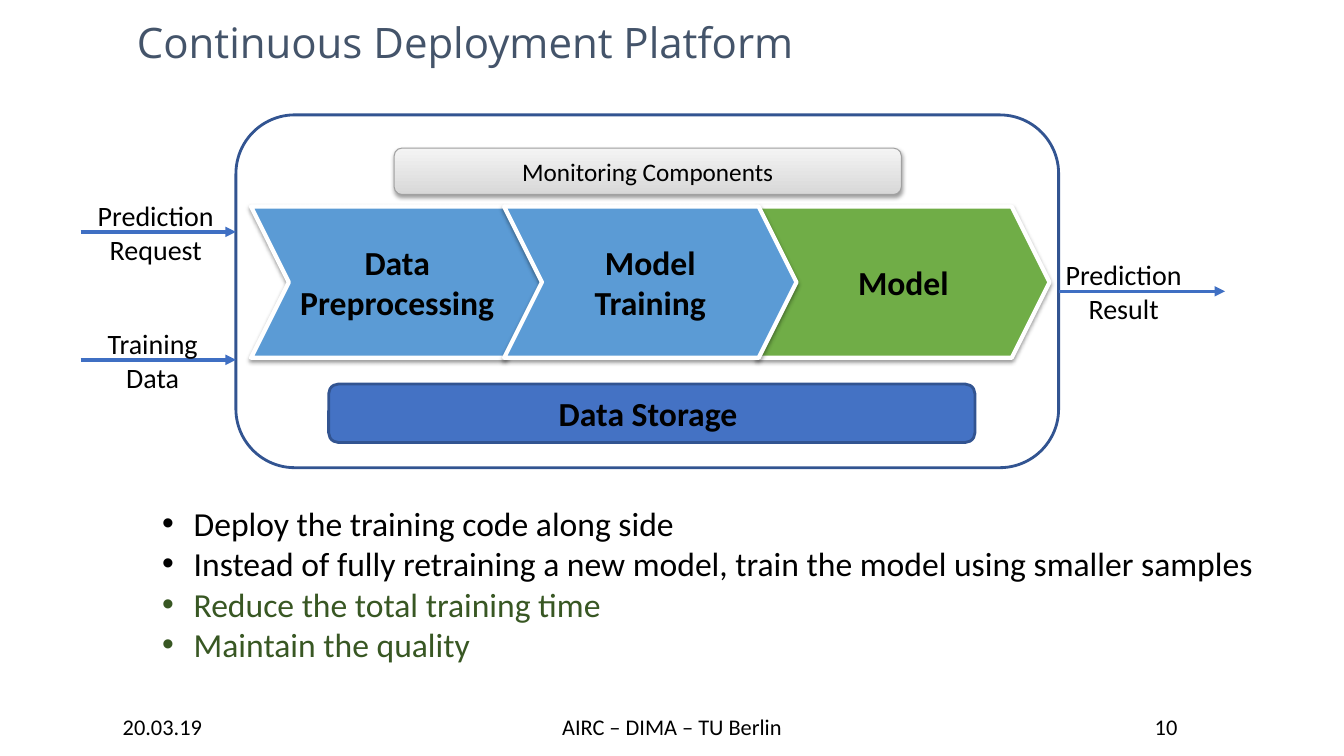
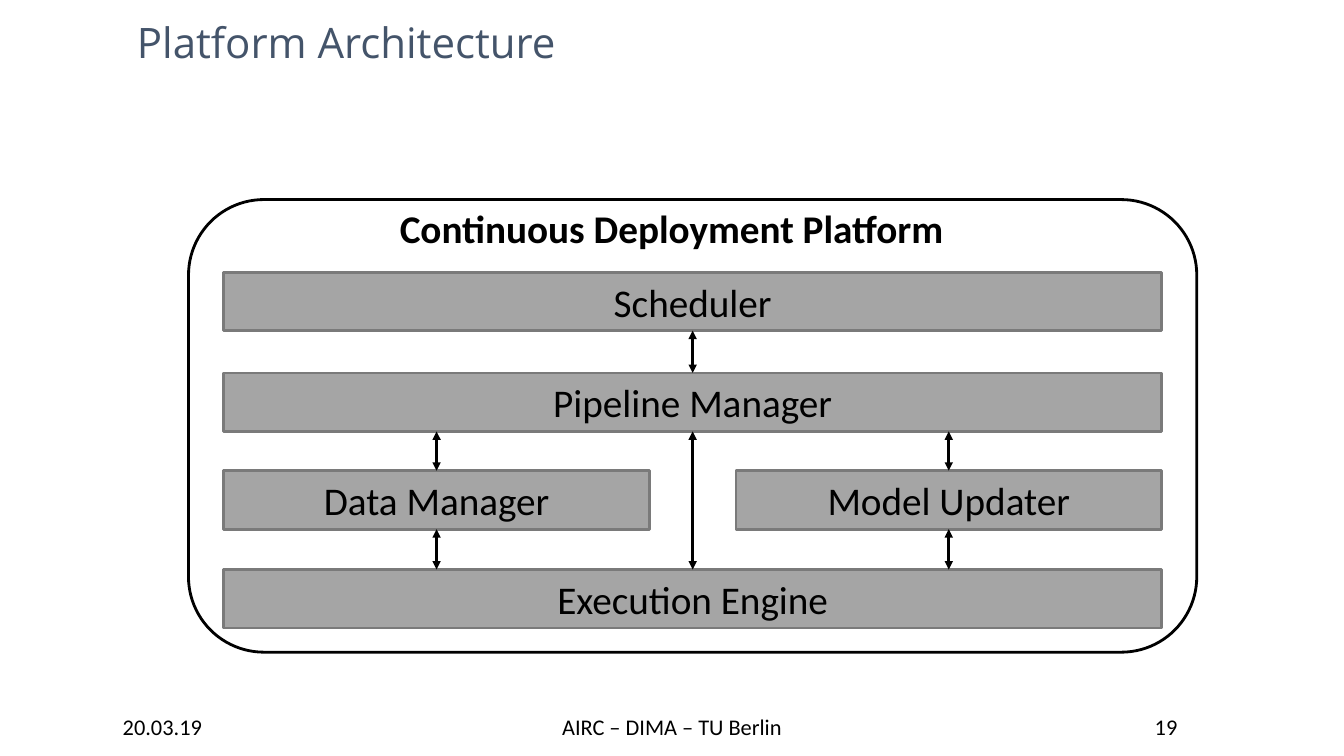
import pptx
import pptx.util
import pptx.dml.color
import pptx.enum.shapes
import pptx.enum.text
import pptx.oxml.ns
import lxml.etree

SCALE = 9144
KIND = pptx.enum.shapes.MSO_SHAPE
ALIGN = pptx.enum.text.PP_ALIGN
ANCHOR = pptx.enum.text.MSO_ANCHOR
BLACK, WHITE, SLATE = "000000", "FFFFFF", "44546A"
BLUE, NAVY, SKY, ARROW = "4472C4", "325491", "5B9BD5", "3F6FC3"
GREEN, FOREST = "70AD47", "385723"
GRAY, EDGE = "A5A5A5", "7A7A7A"


def px(*sides):
    return [round(side * SCALE) for side in sides]


def color(code):
    return pptx.dml.color.RGBColor.from_string(code)


def child(parent, tag, **attrs):
    return lxml.etree.SubElement(parent, pptx.oxml.ns.qn(tag), attrs)


def write(shape, text, size=24, ink=BLACK, bold=False, font="Calibri",
          align=ALIGN.CENTER, anchor=ANCHOR.MIDDLE, wrap=True):
    frame = shape.text_frame
    frame.word_wrap = wrap
    frame.vertical_anchor = anchor
    for row, line in enumerate(text.split("\n")):
        para = frame.add_paragraph() if row else frame.paragraphs[0]
        para.alignment = align
        run = para.add_run()
        run.text = line
        run.font.name = font
        run.font.size = pptx.util.Pt(size)
        run.font.bold = bold
        run.font.color.rgb = color(ink)
    return shape


def label(slide, box, text, **style):
    return write(slide.shapes.add_textbox(*px(*box)), text, **style)


def block(slide, kind, box, fill=None, line=BLACK, width=2, shade=False):
    shape = slide.shapes.add_shape(kind, *px(*box))
    if fill:
        shape.fill.solid()
        shape.fill.fore_color.rgb = color(fill)
    else:
        shape.fill.background()
    shape.line.color.rgb = color(line)
    shape.line.width = pptx.util.Pt(width)
    shape.shadow.inherit = False
    if shade:
        effects = shape._element.spPr.find(pptx.oxml.ns.qn("a:effectLst"))
        cast = child(effects, "a:outerShdw", blurRad="39370", dist="20320",
                     dir="5400000", rotWithShape="0")
        child(child(cast, "a:srgbClr", val=BLACK), "a:alpha", val="38000")
    return shape


def arrow(slide, start, end, ink=BLACK, width=2, both=False):
    link = slide.shapes.add_connector(
        pptx.enum.shapes.MSO_CONNECTOR.STRAIGHT, *px(*start, *end))
    link.line.color.rgb = color(ink)
    link.line.width = pptx.util.Pt(width)
    line = link.line._get_or_add_ln()
    if both:
        child(line, "a:headEnd", type="triangle")
    child(line, "a:tailEnd", type="triangle")
    child(link._element.spPr, "a:effectLst")


def page(deck, title, number):
    slide = deck.slides.add_slide(deck.slide_layouts[6])
    label(slide, (126, 6, 946, 70), title, size=30, ink=SLATE,
          font="Open Sans", align=ALIGN.LEFT)
    for left, width, text in ((62, 198, "20.03.19"),
                              (500, 333, "AIRC – DIMA – TU Berlin"),
                              (1042, 229, number)):
        label(slide, (left, 702, width, 37), text, size=16)
    return slide


def flow(slide, box):
    left, top, width, height = box
    block(slide, KIND.ROUNDED_RECTANGLE, box, line=NAVY)

    watch = block(slide, KIND.ROUNDED_RECTANGLE, (left + 157, top + 33, 503, 46),
                  line="A1A1A1", width=0.75, shade=True)
    watch.fill.gradient()
    watch.fill.gradient_angle = 90
    for stop, shade in zip(watch.fill.gradient_stops, ("D8D8D8", "F4F4F4")):
        stop.color.rgb = color(shade)
    write(watch, "Monitoring Components", size=18)

    for step, text, fill in ((0, "Data Preprocessing", SKY),
                             (2, "Model", GREEN),
                             (1, "Model Training", SKY)):
        stage = block(slide, KIND.CHEVRON, (left + 15 + 251 * step, top + 91, 290, 150),
                      fill=fill, line=WHITE, width=3, shade=True)
        stage.adjustments[0] = 0.25
        write(stage, text, bold=True)

    store = block(slide, KIND.ROUNDED_RECTANGLE, (left + 92, top + 267, 641, 58),
                  fill=BLUE, line=NAVY)
    write(store, "Data Storage ", bold=True)

    for start, end, level, shift, text in (
            (-154, 0, 116, 6, "Prediction\nRequest"),
            (-154, 0, 243, 3, "Training\nData"),
            (width, width + 165, 175, -4, "Prediction\nResult")):
        arrow(slide, (left + start, top + level), (left + end, top + level),
              ink=ARROW, width=2.5)
        label(slide, (left + start + shift, top + level - 38, 137, 77), text,
              size=20, anchor=ANCHOR.TOP, wrap=False)


def points(slide, box, rows):
    text = "\n".join(line for line, ink in rows)
    shape = label(slide, box, text, align=ALIGN.LEFT, anchor=ANCHOR.TOP)
    for para, (line, ink) in zip(shape.text_frame.paragraphs, rows):
        para.runs[0].font.color.rgb = color(ink)
        props = para._p.get_or_add_pPr()
        props.set("marL", "285750")
        props.set("indent", "-285750")
        child(props, "a:buFont", typeface="Arial")
        child(props, "a:buChar", char="•")


def stack(slide, box):
    left, top, width, height = box
    wide, half, tall, inset = 930, 422, 58, 35
    first, second, third, fourth = (top + drop for drop in (72, 172, 269, 367))
    near = left + inset
    far = near + wide - half
    for x, y, span, text in ((near, first, wide, "Scheduler"),
                             (near, second, wide, "Pipeline Manager"),
                             (near, fourth, wide, "Execution Engine"),
                             (far, third, half, "Model Updater"),
                             (near, third, half, "Data Manager")):
        bar = block(slide, KIND.RECTANGLE, (x, y, span, tall), fill=GRAY, line=EDGE)
        write(bar, text, size=28)

    block(slide, KIND.ROUNDED_RECTANGLE, box)
    label(slide, (left + 196, top, 566, 57), "Continuous Deployment Platform",
          size=28, bold=True, anchor=ANCHOR.TOP, wrap=False)

    middle = left + width / 2
    links = [(middle, first, second), (middle, second, fourth)]
    for x in (near + half / 2, far + half / 2):
        links += [(x, second, third), (x, third, fourth)]
    for x, upper, lower in links:
        arrow(slide, (x, upper + tall), (x, lower), both=True)


def main():
    deck = pptx.Presentation()
    deck.slide_width, deck.slide_height = px(1333, 750)

    slide = page(deck, "Continuous Deployment Platform", "10")
    flow(slide, (234, 114, 816, 350))
    points(slide, (151, 494, 1112, 172), (
        ("Deploy the training code along side", BLACK),
        ("Instead of fully retraining a new model, "
         "train the model using smaller samples", BLACK),
        ("Reduce the total training time", FOREST),
        ("Maintain the quality", FOREST)))

    slide = page(deck, "Platform Architecture", "19")
    stack(slide, (187, 198, 1000, 449))

    deck.save("out.pptx")


if __name__ == "__main__":
    main()
